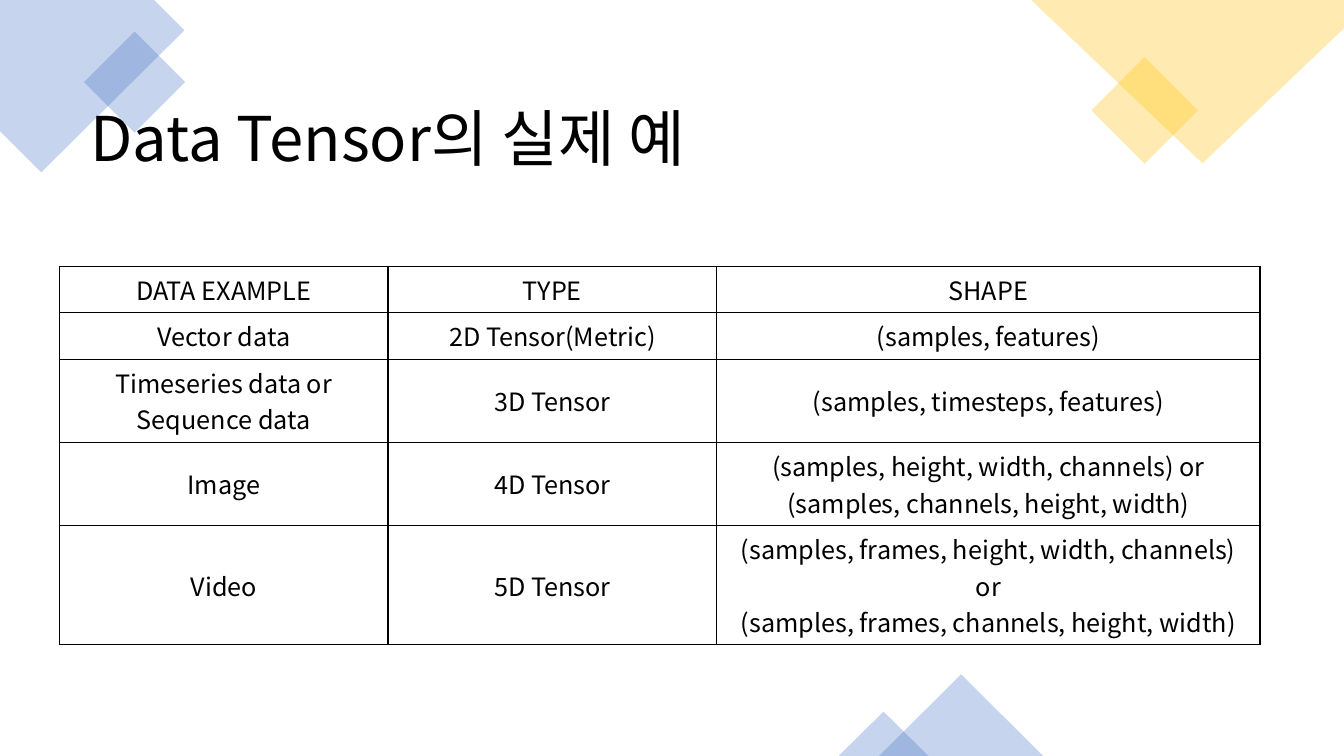
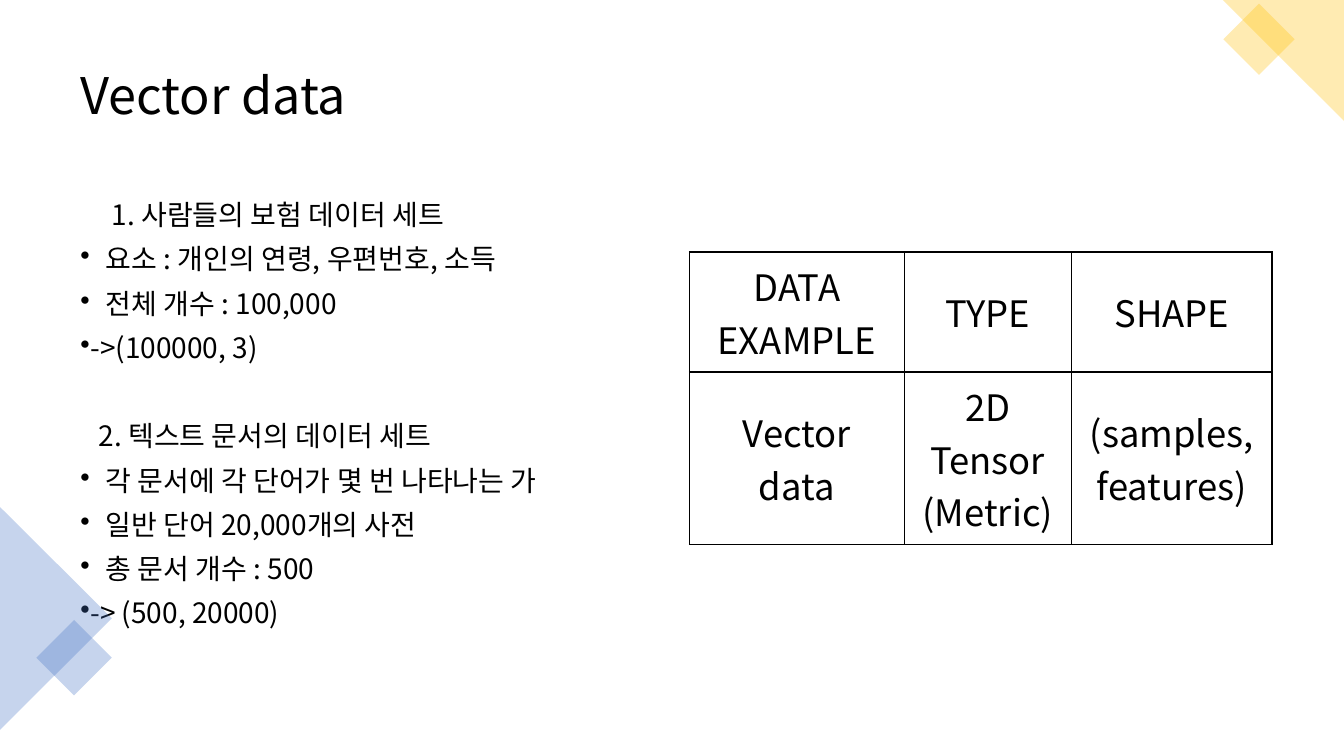
from lxml.etree import SubElement as Sub
from pptx import Presentation
from pptx.dml.color import RGBColor
from pptx.enum.shapes import MSO_SHAPE as Kind
from pptx.enum.text import MSO_ANCHOR as Anchor, PP_ALIGN as Align
from pptx.oxml.ns import qn
from pptx.util import Emu, Inches, Pt

UNIT = Inches(0.1)
COLS, ROWS = 133.33, 75
FONT = "Noto Sans CJK KR"
BLACK, BLUE, GOLD = "000000", "4472C4", "FFC000"


def hue(code):
    return RGBColor.from_string(code)


def grid(*cells):
    return [Emu(round(cell * UNIT)) for cell in cells]


class Deck:
    def __init__(self):
        self.prs = Presentation()
        self.prs.slide_width, self.prs.slide_height = grid(COLS, ROWS)
        self.slide = None

    def page(self):
        self.slide = self.prs.slides.add_slide(self.prs.slide_layouts[6])

    def tint(self, shape, code):
        shape.shadow.inherit = False
        shape.line.fill.background()
        shape.fill.solid()
        shape.fill.fore_color.rgb = hue(code)
        solid = shape.fill._xPr.find(qn("a:solidFill"))
        Sub(solid[0], qn("a:alpha"), val="30000")

    def block(self, kind, box, code, turn=0):
        shape = self.slide.shapes.add_shape(kind, *grid(*box))
        shape.rotation = turn
        self.tint(shape, code)
        return shape

    def square(self, x, y, side, code):
        self.block(Kind.RECTANGLE, (x, y, side, side), code, 45)

    def patch(self, points, code):
        first, *rest = [grid(*point) for point in points]
        path = self.slide.shapes.build_freeform(*first, scale=1.0)
        path.add_line_segments(rest, close=True)
        self.tint(path.convert_to_shape(), code)

    def style(self, para, size):
        font = para.font
        font.size = Pt(size)
        font.name = FONT
        font.color.rgb = hue(BLACK)

    def frame(self, box, anchor=Anchor.TOP):
        frame = self.slide.shapes.add_textbox(*grid(*box)).text_frame
        frame.word_wrap = True
        frame.vertical_anchor = anchor
        return frame

    def title(self, text, box, size, anchor=Anchor.TOP):
        para = self.frame(box, anchor).paragraphs[0]
        para.text = text
        para.line_spacing = 0.9
        self.style(para, size)

    def notes(self, items, box, size):
        frame = self.frame(box)
        for i, (text, left, hang, gap) in enumerate(items):
            para = frame.add_paragraph() if i else frame.paragraphs[0]
            para.text = text
            para.line_spacing = 0.9
            para.space_before = Pt(gap)
            props = para._p.get_or_add_pPr()
            props.set("marL", str(Inches(left)))
            props.set("indent", str(Inches(-hang)))
            if hang:
                Sub(props, qn("a:buChar"), char="•")
            self.style(para, size)

    def edge(self, cell):
        props = cell._tc.get_or_add_tcPr()
        for i, side in enumerate(("lnL", "lnR", "lnT", "lnB")):
            line = props.makeelement(qn("a:" + side), {"w": str(Pt(1))})
            fill = Sub(line, qn("a:solidFill"))
            Sub(fill, qn("a:srgbClr"), val=BLACK)
            props.insert(i, line)

    def table(self, data, spot, wides, talls, size, pad=(1, 0.5)):
        box = grid(*spot, sum(wides), sum(talls))
        table = self.slide.shapes.add_table(len(talls), len(wides), *box).table
        table.first_row = table.horz_banding = False
        for col, wide in zip(table.columns, grid(*wides)):
            col.width = wide
        for row, tall in zip(table.rows, grid(*talls)):
            row.height = tall
        side, top = grid(*pad)
        for row, texts in zip(table.rows, data):
            for cell, text in zip(row.cells, texts):
                cell.text = text
                cell.vertical_anchor = Anchor.MIDDLE
                cell.margin_left = cell.margin_right = side
                cell.margin_top = cell.margin_bottom = top
                cell.fill.background()
                self.edge(cell)
                for para in cell.text_frame.paragraphs:
                    para.alignment = Align.CENTER
                    self.style(para, size)

    def save(self):
        self.prs.save("out.pptx")


HEAD = ("DATA EXAMPLE", "TYPE", "SHAPE")


def shapes(deck):
    deck.page()
    deck.patch([(0, 0), (15.3, 0), (18.3, 3), (4.1, 17.1), (0, 13)], BLUE)
    deck.square(9.8, 4.6, 7.1, BLUE)
    deck.square(109.8, 7.2, 7.5, GOLD)
    deck.patch([(COLS, 0), (102.3, 0), (119.3, 16.2), (COLS, 2.8)], GOLD)
    for x, wide, tall in ((87.2, 16.3, 8.1), (83.2, 8.9, 4.4)):
        deck.block(Kind.ISOSCELES_TRIANGLE, (x, ROWS - tall, wide, tall), BLUE)
    deck.title("Data Tensor의 실제 예", (8, 10.3, 115, 14.5), 44)
    data = [
        HEAD,
        ("Vector data", "2D Tensor(Metric)", "(samples, features)"),
        ("Timeseries data or\nSequence data", "3D Tensor",
         "(samples, timesteps, features)"),
        ("Image", "4D Tensor",
         "(samples, height, width, channels) or "
         "(samples, channels, height, width)"),
        ("Video", "5D Tensor",
         "(samples, frames, height, width, channels) or\n"
         "(samples, frames, channels, height, width)"),
    ]
    talls = [1 + 3.62 * lines for lines in (1, 1, 2, 2, 3)]
    deck.table(data, (5.9, 26.4), (32.6, 32.6, 53.9), talls, 18)


def vector(deck):
    deck.page()
    deck.title("Vector data", (7, 3.5, 54.4, 12.4), 36, Anchor.MIDDLE)
    gap = 10
    items = [
        ("1. 사람들의 보험 데이터 세트", 0.31, 0, 0),
        ("요소 : 개인의 연령, 우편번호, 소득", 0.25, 0.25, gap),
        ("전체 개수 : 100,000", 0.25, 0.25, gap),
        ("->(100000, 3)", 0, 0.25, gap),
        ("2. 텍스트 문서의 데이터 세트", 0.18, 0, 41.6),
        ("각 문서에 각 단어가 몇 번 나타나는 가", 0.25, 0.25, gap),
        ("일반 단어 20,000개의 사전", 0.25, 0.25, gap),
        ("총 문서 개수 : 500", 0.25, 0.25, gap),
        ("-> (500, 20000)", 0, 0.25, gap),
    ]
    deck.notes(items, (7, 19.5, 54.4, 48.1), 20)
    deck.block(Kind.ISOSCELES_TRIANGLE, (-5.5, 55.8, 22.1, 11.1), BLUE, 90)
    deck.square(4.7, 62.6, 5.3, BLUE)
    side = 12
    corner = deck.block(Kind.ISOSCELES_TRIANGLE,
                        (COLS - side, 0, side, side), GOLD, 270)
    corner.adjustments[0] = 1
    deck.square(122.4, 1.4, 5, GOLD)
    data = [
        HEAD,
        ("Vector data", "2D Tensor\n(Metric)", "(samples, features)"),
    ]
    deck.table(data, (68.4, 25), (21.3, 16.6, 19.9), (11.9, 17.1), 26,
               (1.4, 0.7))


def main():
    deck = Deck()
    shapes(deck)
    vector(deck)
    deck.save()


if __name__ == "__main__":
    main()
